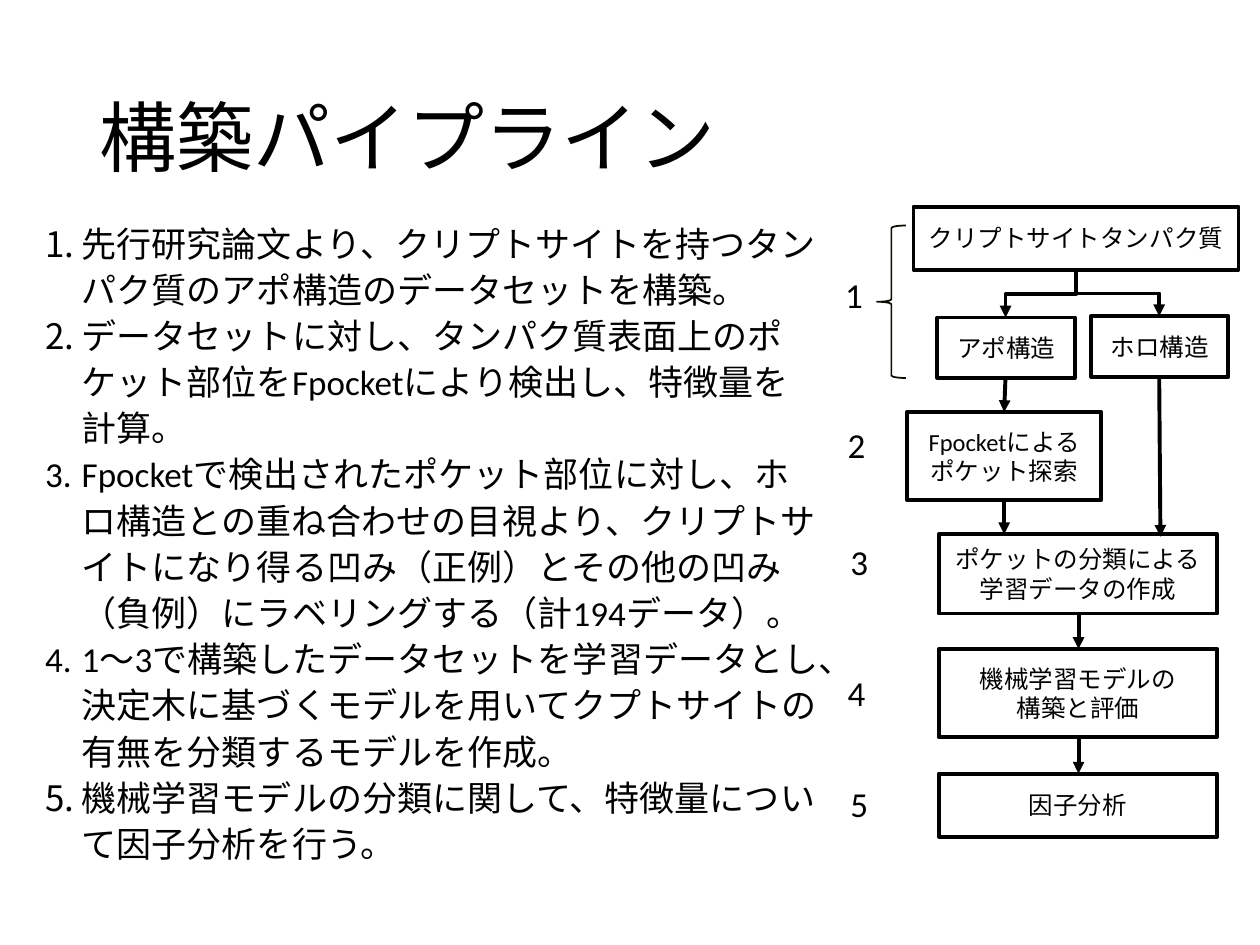
from typing import NamedTuple

from lxml.etree import SubElement
from pptx import Presentation
from pptx.dml.color import RGBColor
from pptx.enum.shapes import MSO_CONNECTOR as Link, MSO_SHAPE as Shape
from pptx.enum.text import MSO_ANCHOR as Anchor, MSO_AUTO_SIZE as Fit, PP_ALIGN as Align
from pptx.oxml.ns import qn
from pptx.util import Inches, Pt

BLACK = "000000"


class Box(NamedTuple):
    left: float
    top: float
    width: float
    height: float
    text: str


class Arrow(NamedTuple):
    x1: float
    y1: float
    x2: float
    y2: float


class Label(NamedTuple):
    left: float
    top: float
    text: str


STEPS = [
    "先行研究論文より、クリプトサイトを持つタンパク質のアポ構造のデータセットを構築。",
    "データセットに対し、タンパク質表面上のポケット部位をFpocketにより検出し、特徴量を計算。",
    "Fpocketで検出されたポケット部位に対し、ホロ構造との重ね合わせの目視より、クリプトサイトになり得る凹み（正例）とその他の凹み（負例）にラベリングする（計194データ）。",
    "1～3で構築したデータセットを学習データとし、決定木に基づくモデルを用いてクプトサイトの有無を分類するモデルを作成。",
    "機械学習モデルの分類に関して、特徴量について因子分析を行う。",
]
BOXES = [
    Box(7.25, 1.64, 2.58, 0.5, "クリプトサイトタンパク質"),
    Box(7.2, 3.27, 1.54, 0.7, "Fpocketによる\nポケット探索"),
    Box(7.45, 4.24, 2.21, 0.63, "ポケットの分類による学習データの作成"),
    Box(7.44, 2.52, 1.09, 0.48, "アポ構造"),
    Box(8.66, 2.51, 1.09, 0.48, "ホロ構造"),
    Box(7.45, 5.15, 2.21, 0.7, "機械学習モデルの\n構築と評価"),
    Box(7.45, 6.14, 2.21, 0.5, "因子分析"),
]
ARROWS = [
    Arrow(8.56, 4.86, 8.56, 5.15),
    Arrow(8.56, 5.86, 8.56, 6.14),
    Arrow(7.98, 3, 7.97, 3.27),
    Arrow(7.97, 3.98, 7.97, 4.24),
    Arrow(9.2, 2.99, 9.21, 4.26),
]
BENDS = [Arrow(8.54, 2.15, 7.98, 2.52), Arrow(8.54, 2.15, 9.2, 2.51)]
LABELS = [
    Label(6.61, 2.12, "1"),
    Label(6.63, 3.31, "2"),
    Label(6.65, 4.24, "3"),
    Label(6.63, 5.28, "4"),
    Label(6.65, 6.16, "5"),
]


def color(code: str) -> RGBColor:
    return RGBColor.from_string(code)


def style(frame, size: float, align=Align.LEFT, space: float = 1.0) -> None:
    for para in frame.paragraphs:
        para.alignment = align
        para.line_spacing = space
        for run in para.runs:
            run.font.name = "Calibri"
            run.font.size = Pt(size)
            run.font.color.rgb = color(BLACK)


def stroke(line, code: str, width: float) -> None:
    line.color.rgb = color(code)
    line.width = Pt(width)


def outline(slide, kind, left: float, top: float, width: float, height: float,
            code: str, weight: float):
    shape = slide.shapes.add_shape(
        kind, Inches(left), Inches(top), Inches(width), Inches(height))
    shape.shadow.inherit = False
    shape.fill.background()
    stroke(shape.line, code, weight)
    return shape


def draw_box(slide, box: Box) -> None:
    shape = outline(slide, Shape.RECTANGLE, *box[:4], BLACK, 2.25)
    frame = shape.text_frame
    frame.text = box.text
    frame.word_wrap = True
    frame.vertical_anchor = Anchor.MIDDLE
    style(frame, 14, Align.CENTER)


def draw_arrow(slide, arrow: Arrow, kind=Link.STRAIGHT):
    link = slide.shapes.add_connector(kind, *map(Inches, arrow))
    stroke(link.line, BLACK, 2.25)
    props = link._element.spPr
    SubElement(props.find(qn("a:ln")), qn("a:tailEnd"), type="triangle")
    SubElement(props, qn("a:effectLst"))
    return link


def draw_bend(slide, bend: Arrow) -> None:
    mid_x, mid_y = (bend.x1 + bend.x2) / 2, (bend.y1 + bend.y2) / 2
    side = 1 if bend.x2 > bend.x1 else -1
    half_w = side * (bend.y2 - bend.y1) / 2
    half_h = abs(bend.x2 - bend.x1) / 2
    turned = Arrow(mid_x + half_w, mid_y - half_h, mid_x - half_w, mid_y + half_h)
    link = draw_arrow(slide, turned, Link.ELBOW)
    angle = 270 if side > 0 else 90
    link._element.spPr.find(qn("a:xfrm")).set("rot", str(angle * 60000))


def draw_label(slide, label: Label) -> None:
    shape = slide.shapes.add_textbox(
        Inches(label.left), Inches(label.top), Inches(0.34), Inches(0.44))
    frame = shape.text_frame
    frame.text = label.text
    frame.word_wrap = False
    frame.auto_size = Fit.SHAPE_TO_FIT_TEXT
    style(frame, 20)


def draw_steps(slide, steps: list[str]) -> None:
    shape = slide.shapes.add_textbox(
        Inches(0.26), Inches(1.68), Inches(6.35), Inches(5.25))
    frame = shape.text_frame
    frame.word_wrap = True
    frame.text = "\n".join(steps)
    for para in frame.paragraphs:
        props = para._p.get_or_add_pPr()
        props.set("marL", str(Inches(0.29)))
        props.set("indent", str(Inches(-0.29)))
        SubElement(props, qn("a:buFont"), typeface="+mj-lt")
        SubElement(props, qn("a:buAutoNum"), type="arabicPeriod")
    style(frame, 20, space=1.1)


def draw_title(slide, text: str) -> None:
    title = slide.shapes.title
    title.left, title.top = Inches(0.69), Inches(0.4)
    title.width, title.height = Inches(8.62), Inches(1.45)
    title.text_frame.text = text
    title.text_frame.vertical_anchor = Anchor.MIDDLE
    style(title.text_frame, 44, space=0.9)


def main() -> None:
    deck = Presentation()
    deck.slide_width, deck.slide_height = Inches(10), Inches(7.5)
    slide = deck.slides.add_slide(deck.slide_layouts[5])
    draw_title(slide, "構築パイプライン")
    draw_steps(slide, STEPS)
    for box in BOXES:
        draw_box(slide, box)
    for arrow in ARROWS:
        draw_arrow(slide, arrow)
    for bend in BENDS:
        draw_bend(slide, bend)
    for label in LABELS:
        draw_label(slide, label)
    outline(slide, Shape.LEFT_BRACE, 6.96, 1.79, 0.23, 1.21, "0B0B03", 1)
    deck.save("out.pptx")


if __name__ == "__main__":
    main()
